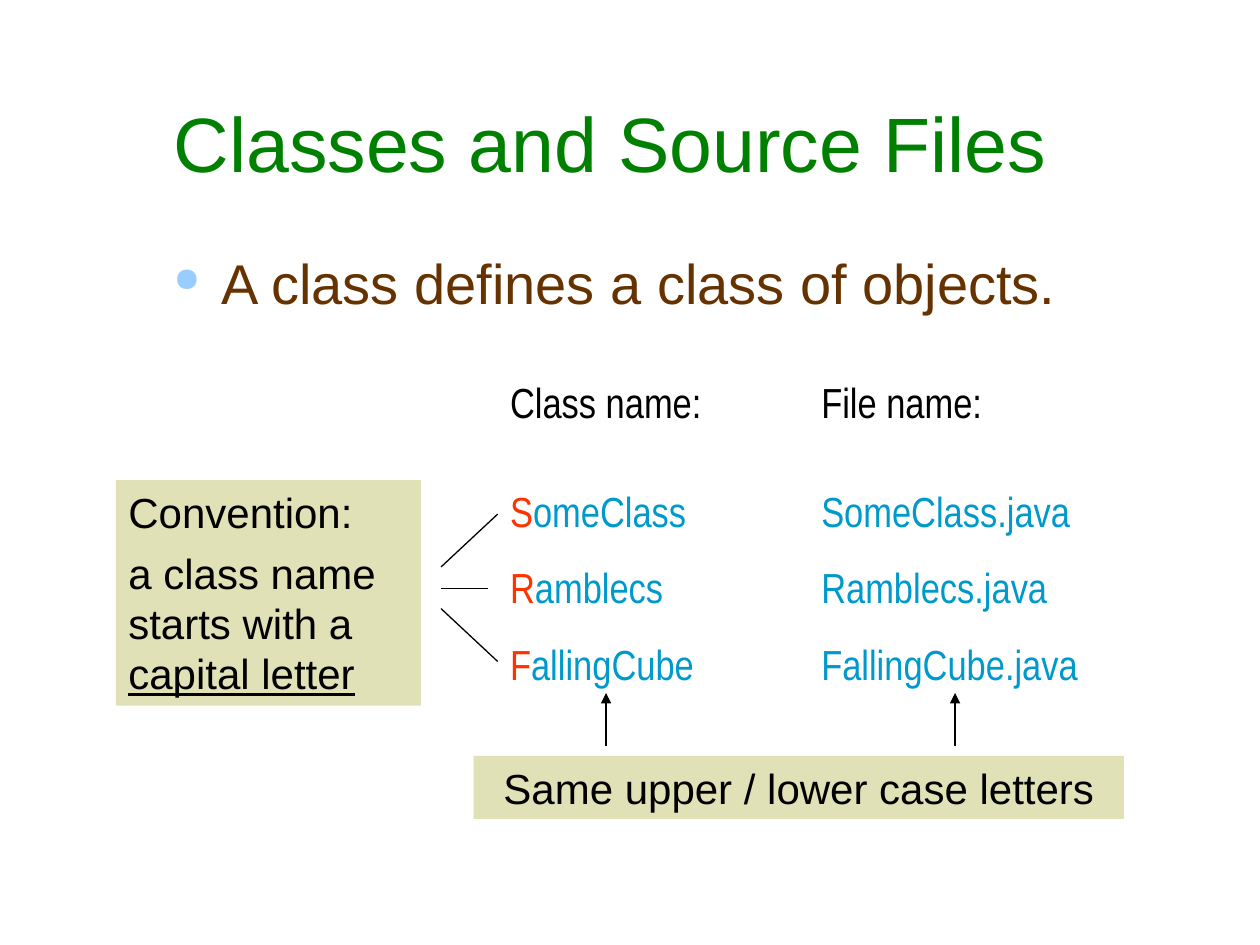
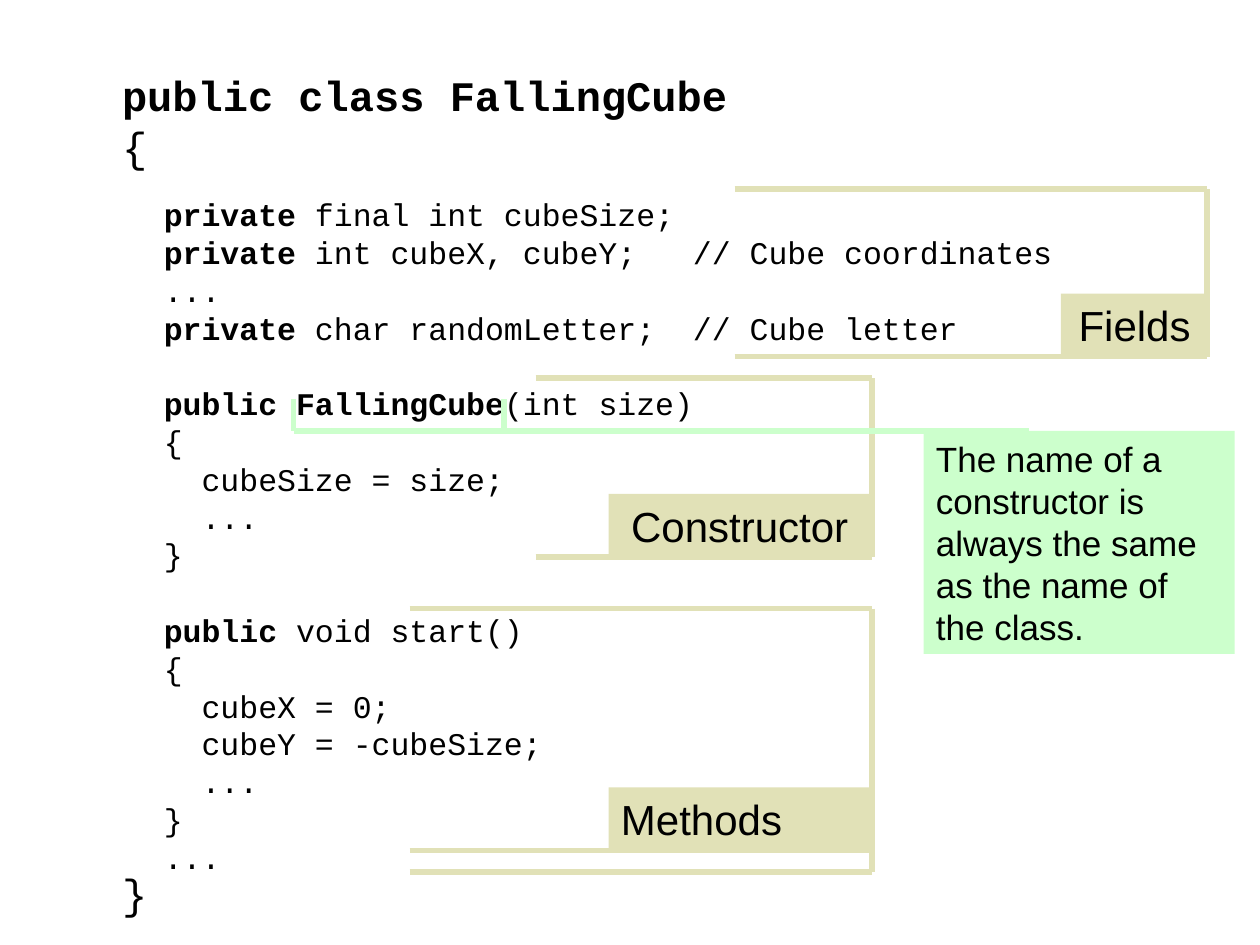
from dataclasses import dataclass

from lxml import etree
from pptx import Presentation
from pptx.dml.color import RGBColor
from pptx.enum.shapes import MSO_CONNECTOR, MSO_SHAPE
from pptx.enum.text import MSO_ANCHOR, PP_ALIGN
from pptx.oxml.ns import qn
from pptx.util import Inches, Pt

STRAIGHT = MSO_CONNECTOR.STRAIGHT
RECTANGLE = MSO_SHAPE.RECTANGLE
TOP, MIDDLE = MSO_ANCHOR.TOP, MSO_ANCHOR.MIDDLE
LEFT, CENTER = PP_ALIGN.LEFT, PP_ALIGN.CENTER


@dataclass(frozen=True)
class Theme:
    black: RGBColor = RGBColor(0x00, 0x00, 0x00)
    title: RGBColor = RGBColor(0x00, 0x80, 0x00)
    body: RGBColor = RGBColor(0x66, 0x33, 0x00)
    capital: RGBColor = RGBColor(0xFF, 0x33, 0x00)
    name: RGBColor = RGBColor(0x00, 0x99, 0xCC)
    label: RGBColor = RGBColor(0xE1, 0xE1, 0xB7)
    callout: RGBColor = RGBColor(0xCC, 0xFF, 0xCC)
    bullet: str = "99CCFF"
    sans: str = "Arial"
    narrow: str = "Arial Narrow"
    mono: str = "Courier New"
    title_size: int = 44
    body_size: int = 32
    label_size: int = 24
    callout_size: int = 20
    code_size: int = 18


theme = Theme()


def add_text(slide, box, paragraphs, size=theme.label_size, font=theme.sans,
             color=theme.black, fill=None, align=LEFT, anchor=TOP, space=0):
    """Add a text box, or a filled rectangle; a paragraph is a list of (text, run style)."""
    position = [Inches(length) for length in box]
    if fill is None:
        shape = slide.shapes.add_textbox(*position)
    else:
        shape = slide.shapes.add_shape(RECTANGLE, *position)
        shape.shadow.inherit = False
        shape.fill.solid()
        shape.fill.fore_color.rgb = fill
        shape.line.fill.background()
    frame = shape.text_frame
    frame.word_wrap = True
    frame.vertical_anchor = anchor
    for index, runs in enumerate(paragraphs):
        paragraph = frame.add_paragraph() if index else frame.paragraphs[0]
        paragraph.alignment = align
        if index and space:
            paragraph.space_before = Pt(space)
        paragraph.font.size = Pt(size)
        paragraph.font.name = font
        if not any("color" in style for _, style in runs):
            paragraph.font.color.rgb = color
        for text, style in runs:
            run = paragraph.add_run()
            run.text = text
            if "color" in style:
                run.font.color.rgb = style["color"]
            if "bold" in style:
                run.font.bold = style["bold"]
            if "underline" in style:
                run.font.underline = style["underline"]
    return shape


def add_line(slide, start, end, color=theme.black, width=0.75, arrow=False):
    line = slide.shapes.add_connector(
        STRAIGHT, *[Inches(length) for length in (*start, *end)])
    line.line.color.rgb = color
    line.line.width = Pt(width)
    properties = line._element.spPr
    if arrow:
        etree.SubElement(properties.find(qn("a:ln")), qn("a:tailEnd"), type="triangle")
    etree.SubElement(properties, qn("a:effectLst"))


presentation = Presentation()
presentation.slide_width = Inches(10)
presentation.slide_height = Inches(7.5)
blank = presentation.slide_layouts[6]

# Slide 1: classes and source files
slide = presentation.slides.add_slide(blank)
add_text(slide, (1.28, 0.5, 8.5, 1.25), [[("Classes and Source Files", {})]],
         theme.title_size, color=theme.title, anchor=MIDDLE)

# Bulleted statement
statement = add_text(slide, (1.28, 1.92, 8.5, 0.7), [[]])
paragraph = statement.text_frame.paragraphs[0]
paragraph.text = "A class defines a class of objects."
properties = paragraph._p.get_or_add_pPr()
properties.remove(properties.find(qn("a:defRPr")))
properties.set("marL", str(Inches(0.38)))
properties.set("indent", str(-Inches(0.38)))
bullet_color = etree.SubElement(properties, qn("a:buClr"))
etree.SubElement(bullet_color, qn("a:srgbClr"), val=theme.bullet)
etree.SubElement(properties, qn("a:buSzPct"), val="60000")
etree.SubElement(properties, qn("a:buChar"), char="●")
paragraph.font.size = Pt(theme.body_size)
paragraph.font.name = theme.sans
paragraph.font.color.rgb = theme.body

# Class and file name columns
class_names = ["SomeClass", "Ramblecs", "FallingCube"]
class_column = [[(name[0], {"color": theme.capital}), (name[1:], {"color": theme.name})]
                for name in class_names]
file_column = [[(f"{name}.java", {})] for name in class_names]
for left, heading, names in ((3.95, "Class name:", class_column),
                             (6.42, "File name:", file_column)):
    add_text(slide, (left, 2.94, 1.96, 0.5), [[(heading, {})]], font=theme.narrow)
    add_text(slide, (left, 3.8, 2.3, 1.72), names, font=theme.narrow,
             color=theme.name, space=15)

# Naming convention, with lines to the capital letters
add_text(slide, (0.92, 3.81, 2.42, 1.79),
         [[("Convention:", {})],
          [("a class name starts with a ", {}), ("capital letter", {"underline": True})]],
         fill=theme.label, space=6)
for start_y, end_x, end_y in ((4.5, 3.95, 4.08), (4.67, 3.87, 4.67), (4.83, 3.95, 5.25)):
    add_line(slide, (3.5, start_y), (end_x, end_y))

# Matching case note, with arrows to both columns
add_text(slide, (3.76, 6, 5.16, 0.5), [[("Same upper / lower case letters", {})]],
         fill=theme.label, align=CENTER)
for x in (4.81, 7.58):
    add_line(slide, (x, 5.92), (x, 5.5), arrow=True)

# Slide 2: parts of a class
slide = presentation.slides.add_slide(blank)
add_text(slide, (0.87, 0.33, 6.05, 1.25),
         [[("public class FallingCube", {"bold": True})], [("{", {})]],
         font=theme.mono, anchor=MIDDLE)

# Class body: bold keyword part, then the rest of the line
code_lines = [
    ("private", " final int cubeSize;"),
    ("private", " int cubeX, cubeY;   // Cube coordinates"),
    ("", "..."),
    ("private", " char randomLetter;  // Cube letter"),
    ("public FallingCube", "(int size)"),
    ("", "{"),
    ("", "  cubeSize = size;"),
    ("", "  ..."),
    ("", "}"),
    ("public", " void start()"),
    ("", "{"),
    ("", "  cubeX = 0;"),
    ("", "  cubeY = -cubeSize;"),
    ("", "  ..."),
    ("", "}"),
    ("", "..."),
]
code = add_text(slide, (0.7, 1.5, 8.63, 5.5),
                [[(text, {"bold": bold}) for text, bold in ((keyword, True), (rest, False)) if text]
                 for keyword, rest in code_lines],
                theme.code_size, theme.mono)
code.text_frame.margin_left = Inches(0.6)
for paragraph, (keyword, _) in zip(code.text_frame.paragraphs, code_lines):
    if keyword.startswith("public"):
        paragraph.space_before = Pt(21.6)
add_text(slide, (0.87, 6.67, 6.05, 0.83), [[("}", {})]], font=theme.mono, anchor=MIDDLE)

# Section labels
for label, left, top, width, align in (("Fields", 8.42, 2.33, 1.17, CENTER),
                                       ("Constructor", 4.83, 3.92, 2.08, CENTER),
                                       ("Methods", 4.83, 6.25, 2.08, LEFT)):
    add_text(slide, (left, top, width, 0.5), [[(label, {})]], fill=theme.label, align=align)

# Section brackets: one right side, and horizontal arms
for left, right, arms in ((5.83, 9.58, (1.5, 2.83)),
                          (4.25, 6.92, (3, 4.42)),
                          (3.25, 6.92, (4.83, 6.75, 6.92))):
    add_line(slide, (right, arms[0]), (right, arms[-1]), theme.label, 3)
    for y in arms:
        add_line(slide, (left, y), (right, y), theme.label, 3)

# Constructor name callout
add_text(slide, (7.33, 3.42, 2.47, 1.77),
         [[("The name of a constructor is always the same as the name of the class.", {})]],
         theme.callout_size, fill=theme.callout)
add_line(slide, (2.33, 3.42), (8.17, 3.42), theme.callout, 3)
for x in (2.33, 4):
    add_line(slide, (x, 3.17), (x, 3.42), theme.callout, 3)

presentation.save("out.pptx")
